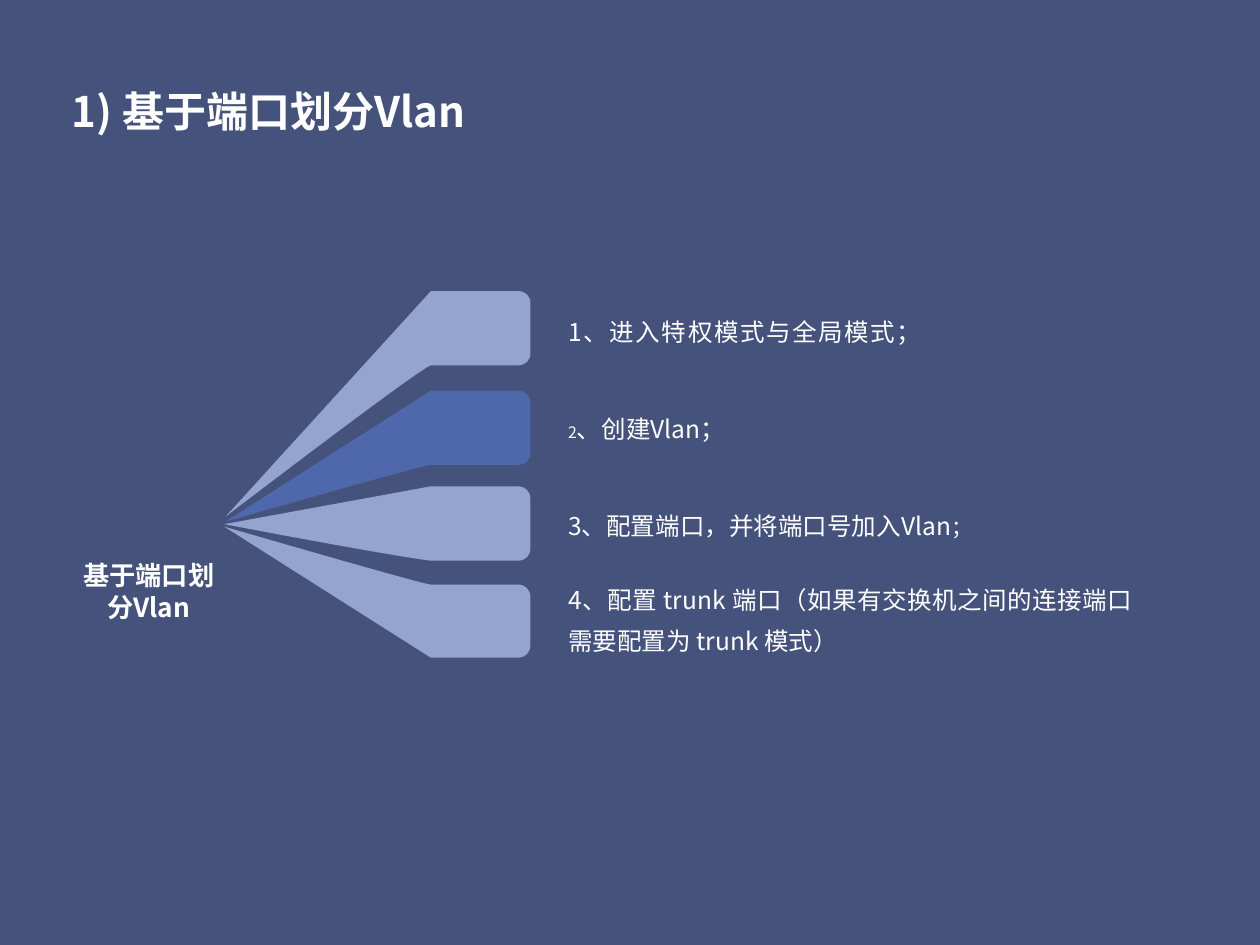
"""Build a slide on port based VLAN division, with four bands fanning out to four steps."""
import pptx
import pptx.dml.color
import pptx.enum.text
import pptx.oxml
import pptx.oxml.ns
import pptx.util

Inches = pptx.util.Inches
Pt = pptx.util.Pt
RGBColor = pptx.dml.color.RGBColor
Align = pptx.enum.text.PP_ALIGN
Anchor = pptx.enum.text.MSO_ANCHOR

NAVY = RGBColor(0x45, 0x52, 0x7B)
PALE = RGBColor(0x95, 0xA4, 0xCE)
BLUE = RGBColor(0x4F, 0x68, 0xAC)
WHITE = RGBColor(0xFF, 0xFF, 0xFF)
FACE = "Noto Sans CJK SC"
SPACE = pptx.oxml.ns.nsdecls("a")

NECK, RIGHT, ROUND, BOW = 3.42, 4.21, 0.1, 0.04
BANDS = [
    (2.31, 2.9, (1.79, 4.1), (3.36, 2.9), PALE),
    (3.86, 4.45, (1.78, 4.16), (3.03, 4.4), PALE),
    (3.1, 3.69, (1.79, 4.14), (3.36, 3.69), BLUE),
    (5.22, 4.64, (1.78, 4.18), (3.36, 4.64), PALE),
]
STEPS = [
    (2.28, 2.61, [("1、进入特权模式与全局模式；", 14)]),
    (3.05, 1.59, [("2", 9), ("、创建Vlan；", 14)]),
    (3.82, 4.48, [("3、配置端口，并将端口号加入Vlan", 14), ("；", 12)]),
    (4.57, 4.48, [("4、配置 trunk 端口（如果有交换机之间的连接端口需要配置为 trunk 模式）", 14)]),
]


def apply(thing, values):
    """Set each attribute of a thing from a dict of values."""
    for name, value in values.items():
        setattr(thing, name, value)


def bend_line(shape, line, first, second):
    """Turn a straight segment of a freeform into a cubic curve."""
    curve = pptx.oxml.parse_xml("<a:cubicBezTo %s/>" % SPACE)
    for x, y in (first, second):
        curve.append(pptx.oxml.parse_xml('<a:pt %s x="%d" y="%d"/>' % (
            SPACE, Inches(x) - shape.left, Inches(y) - shape.top)))
    curve.append(line[0])
    line.getparent().replace(line, curve)


def add_band(slide, outer, inner, tip, bend, fill):
    """Draw a band that widens from its tip to a rounded end."""
    side = 1 if inner > outer else -1
    turn, bow = side * ROUND, side * BOW
    near, edge = RIGHT - ROUND, RIGHT - BOW
    points = [(NECK, outer), (near, outer), (RIGHT, outer + turn),
              (RIGHT, inner - turn), (near, inner), (NECK, inner), tip]
    bends = {
        2: ((edge, outer), (RIGHT, outer + bow)),
        4: ((RIGHT, inner - bow), (edge, inner)),
        6: (bend, tip),
    }
    pen = slide.shapes.build_freeform(Inches(tip[0]), Inches(tip[1]))
    pen.add_line_segments([(Inches(x), Inches(y)) for x, y in points])
    shape = pen.convert_to_shape()
    lines = list(shape._element.iter(pptx.oxml.ns.qn("a:lnTo")))
    for index, pair in bends.items():
        bend_line(shape, lines[index], *pair)
    shape.shadow.inherit = False
    shape.fill.solid()
    shape.fill.fore_color.rgb = fill
    shape.line.fill.background()


def write(shape, place, runs, align, anchor, bold=False, lines=1.0):
    """Place a text shape and fill it with one formatted paragraph."""
    names = ("left", "top", "width", "height")
    apply(shape, dict(zip(names, map(Inches, place))))
    frame = shape.text_frame
    apply(frame, {
        "margin_left": 0, "margin_right": 0, "margin_top": 0, "margin_bottom": 0,
        "word_wrap": True, "vertical_anchor": anchor,
        "auto_size": pptx.enum.text.MSO_AUTO_SIZE.NONE,
    })
    para = frame.paragraphs[0]
    apply(para, {"alignment": align, "line_spacing": lines, "space_before": Pt(0)})
    props = para._p.get_or_add_pPr()
    props.set("marL", "0")
    props.set("indent", "0")
    props.append(pptx.oxml.parse_xml("<a:buNone %s/>" % SPACE))
    for text, size in runs:
        run = para.add_run()
        run.text = text
        apply(run.font, {"name": FACE, "size": Pt(size), "bold": bold})
        run.font.color.rgb = WHITE
        run.font._element.append(pptx.oxml.parse_xml(
            '<a:ea %s typeface="%s"/>' % (SPACE, FACE)))


def main():
    """Build and save the slide."""
    deck = pptx.Presentation()
    apply(deck, {"slide_width": Inches(10), "slide_height": Inches(7.5)})
    slide = deck.slides.add_slide(deck.slide_layouts.get_by_name("Comparison"))
    slide.background.fill.solid()
    slide.background.fill.fore_color.rgb = NAVY
    for band in BANDS:
        add_band(slide, *band)
    title, *bodies = list(slide.placeholders)
    for body, (top, width, runs) in zip(bodies, STEPS):
        write(body, (4.51, top, width, 0.61), runs,
              Align.JUSTIFY, Anchor.MIDDLE, lines=1.4)
    label = slide.shapes.add_textbox(0, 0, 0, 0)
    write(label, (0.58, 4.44, 1.2, 0.69), [("基于端口划分Vlan", 15)],
          Align.CENTER, Anchor.TOP, bold=True)
    write(title, (0.57, 0.49, 8.86, 0.59), [("1) 基于端口划分Vlan", 24)],
          Align.LEFT, Anchor.BOTTOM, bold=True)
    deck.save("out.pptx")


if __name__ == "__main__":
    main()
